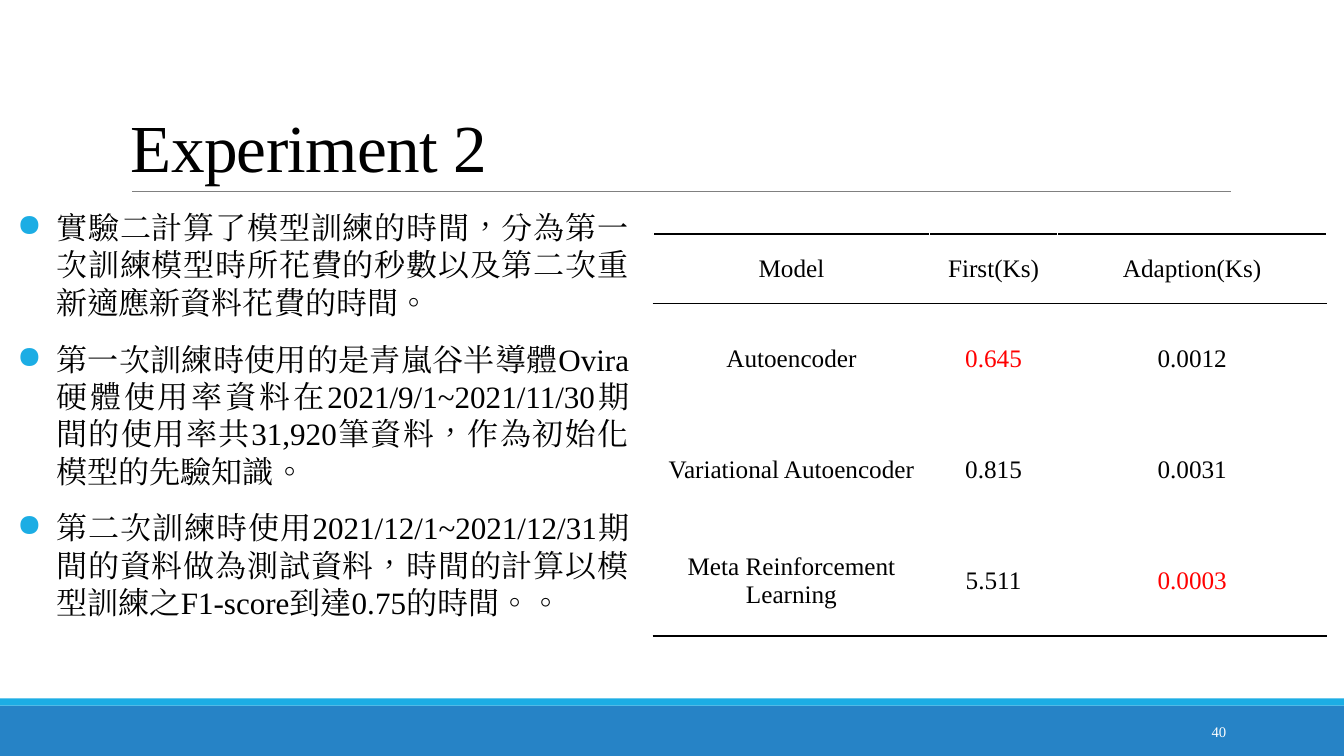
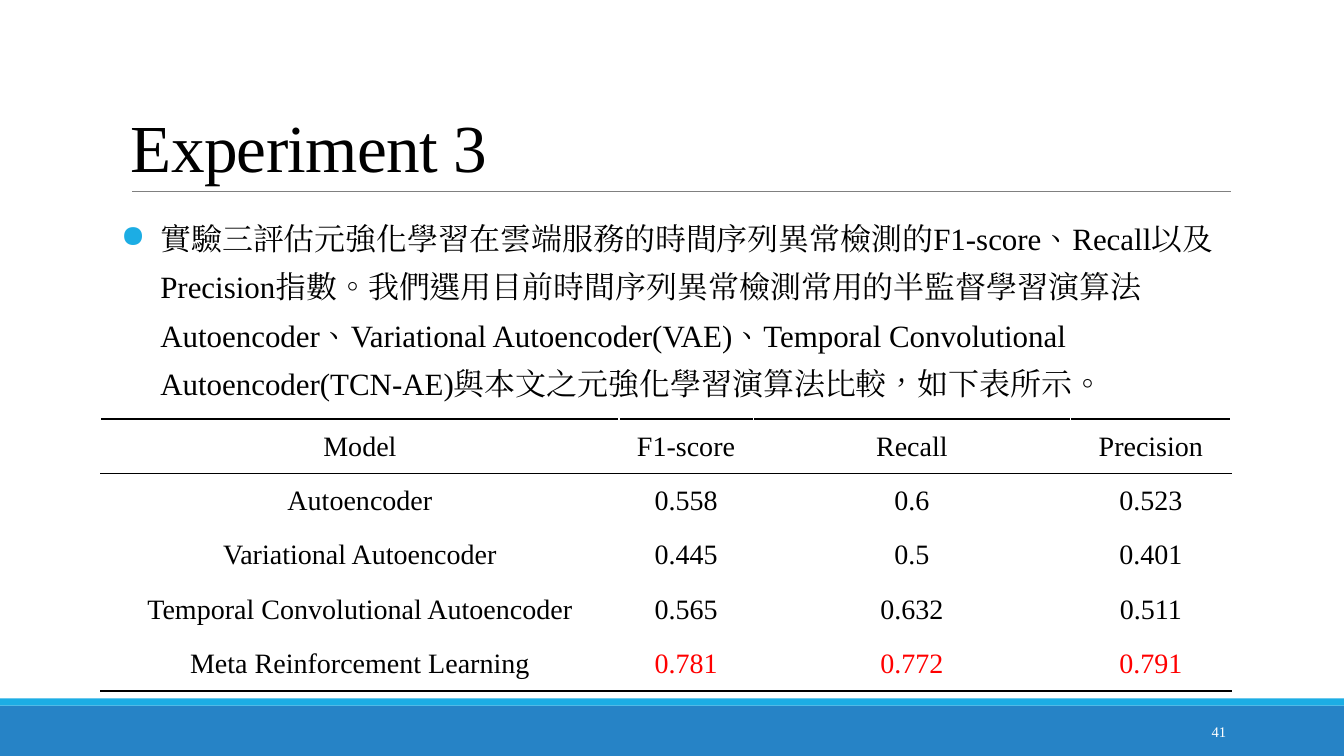
from pptx import Presentation
from pptx.dml.color import RGBColor
from pptx.enum.lang import MSO_LANGUAGE_ID
from pptx.enum.shapes import MSO_CONNECTOR, MSO_SHAPE
from pptx.enum.text import MSO_ANCHOR, PP_ALIGN
from pptx.oxml import parse_xml
from pptx.oxml.ns import nsdecls, qn
from pptx.util import Inches, Pt
from lxml import etree

LEFT, CENTER, RIGHT, JUSTIFY = (
    PP_ALIGN.LEFT, PP_ALIGN.CENTER, PP_ALIGN.RIGHT, PP_ALIGN.JUSTIFY)
TOP, MIDDLE, BOTTOM = MSO_ANCHOR.TOP, MSO_ANCHOR.MIDDLE, MSO_ANCHOR.BOTTOM
CHINESE = MSO_LANGUAGE_ID.TRADITIONAL_CHINESE

THEME = {
    "font": "Times New Roman",
    "text": "000000", "best": "FF0000", "page": "FFFFFF",
    "band": "2683C6", "accent": "1CADE4", "rule": "808080",
    "title_size": 48, "page_size": 10.5,
    "thick": 1.5, "thin": 1, "hairline": 0.5,
}
WIDTH, HEIGHT = 13.33, 7.5
BAND_TOP, STRIPE = 7, 0.07
MARGIN, CONTENT_WIDTH, TITLE_BOTTOM = 1.2, 11, 1.9
BODY_TOP, INDENT = 2.02, 0.39

# Content: a leading * marks the best value of a column
SLIDES = [
    {
        "title": "Experiment 2", "page": "40",
        "body": {
            "at": (0.17, BODY_TOP, 6.07, 4.72), "size": 22.2,
            "align": JUSTIFY, "spacing": 1.0,
            "points": [
                "實驗二計算了模型訓練的時間，分為第一次訓練模型時所花費的秒數"
                "以及第二次重新適應新資料花費的時間。",
                "第一次訓練時使用的是青嵐谷半導體Ovira硬體使用率資料在"
                "2021/9/1~2021/11/30期間的使用率共31,920筆資料，"
                "作為初始化模型的先驗知識。",
                "第二次訓練時使用2021/12/1~2021/12/31期間的資料做為測試資料，"
                "時間的計算以模型訓練之F1-score到達0.75的時間。。",
            ],
        },
        "table": {
            "at": (6.48, 2.32), "size": 18,
            "columns": [2.74, 1.27, 2.67], "heights": (0.69, 1.1),
            "rows": [
                ("Model", "First(Ks)", "Adaption(Ks)"),
                ("Autoencoder", "*0.645", "0.0012"),
                ("Variational Autoencoder", "0.815", "0.0031"),
                ("Meta Reinforcement Learning", "5.511", "*0.0003"),
            ],
        },
    },
    {
        "title": "Experiment 3", "page": "41",
        "body": {
            "at": (MARGIN, BODY_TOP, CONTENT_WIDTH, 1.97), "size": 22.1,
            "align": LEFT, "spacing": 1.3,
            "points": [
                "實驗三評估元強化學習在雲端服務的時間序列異常檢測的F1-score、"
                "Recall以及Precision指數。我們選用目前時間序列異常檢測常用的"
                "半監督學習演算法Autoencoder、Variational Autoencoder(VAE)、"
                "Temporal Convolutional Autoencoder(TCN-AE)"
                "與本文之元強化學習演算法比較，如下表所示。",
            ],
        },
        "table": {
            "at": (1, 4.16), "size": 20,
            "columns": [5.14, 1.33, 3.15, 1.59], "heights": (0.54, 0.54),
            "rows": [
                ("Model", "F1-score", "Recall", "Precision"),
                ("Autoencoder", "0.558", "0.6", "0.523"),
                ("Variational Autoencoder", "0.445", "0.5", "0.401"),
                ("Temporal Convolutional Autoencoder",
                 "0.565", "0.632", "0.511"),
                ("Meta Reinforcement Learning",
                 "*0.781", "*0.772", "*0.791"),
            ],
        },
    },
]


def rgb(name):
    return RGBColor.from_string(THEME[name])


def inches(values):
    return [Inches(value) for value in values]


def assign(target, values):
    for key, value in values.items():
        setattr(target, key, value)


def write(paragraph, text, size, color="text", **layout):
    """Put one run of themed text in a paragraph."""
    assign(paragraph, layout)
    run = paragraph.add_run()
    assign(run, {"text": text})
    assign(run.font, {"name": THEME["font"], "size": Pt(size),
                      "language_id": CHINESE})
    run.font.color.rgb = rgb(color)
    east_asian = etree.SubElement(run.font._element, qn("a:ea"))
    east_asian.set("typeface", THEME["font"])
    return run


def add_box(slide, at, anchor, side_inset=0.1):
    frame = slide.shapes.add_textbox(*inches(at)).text_frame
    assign(frame, {"word_wrap": True, "vertical_anchor": anchor,
                   "margin_left": Inches(side_inset),
                   "margin_right": Inches(side_inset)})
    return frame


def add_bullet(paragraph):
    properties = paragraph._p.get_or_add_pPr()
    properties.set("marL", str(Inches(INDENT)))
    properties.set("indent", str(-Inches(INDENT)))
    color = etree.SubElement(properties, qn("a:buClr"))
    etree.SubElement(color, qn("a:srgbClr")).set("val", THEME["accent"])
    etree.SubElement(properties, qn("a:buChar")).set("char", "●")


def add_frame(slide, title, page):
    """Bands, title, title rule and page number."""
    for top, height, color in ((BAND_TOP, HEIGHT - BAND_TOP, "band"),
                               (BAND_TOP - STRIPE, STRIPE, "accent")):
        band = slide.shapes.add_shape(
            MSO_SHAPE.RECTANGLE, *inches((0, top, WIDTH, height)))
        band.shadow.inherit = False
        band.fill.solid()
        band.fill.fore_color.rgb = rgb(color)
        band.line.fill.background()

    rule = slide.shapes.add_connector(
        MSO_CONNECTOR.STRAIGHT,
        *inches((1.31, TITLE_BOTTOM, 12.21, TITLE_BOTTOM)))
    rule.line.color.rgb = rgb("rule")
    rule.line.width = Pt(THEME["hairline"])
    etree.SubElement(rule._element.spPr, qn("a:effectLst"))

    heading = add_box(slide, (MARGIN, 0.31, CONTENT_WIDTH, 1.59), BOTTOM)
    run = write(heading.paragraphs[0], title, THEME["title_size"],
                line_spacing=0.85)
    run.font._element.set("spc", "-50")

    number = add_box(slide, (10.83, 7.06, 1.43, 0.4), MIDDLE)
    write(number.paragraphs[0], page, THEME["page_size"], "page",
          alignment=RIGHT)


def add_body(slide, body):
    frame = add_box(slide, body["at"], TOP, side_inset=0)
    for index, point in enumerate(body["points"]):
        paragraph = frame.add_paragraph() if index else frame.paragraphs[0]
        write(paragraph, point, body["size"], alignment=body["align"],
              line_spacing=body["spacing"], space_before=Pt(12),
              space_after=Pt(2))
        add_bullet(paragraph)


def add_border(cell, side, weight):
    cell._tc.get_or_add_tcPr().insert(0, parse_xml(
        f'<a:{side} {nsdecls("a")} w="{Pt(THEME[weight])}"><a:solidFill>'
        f'<a:srgbClr val="{THEME["text"]}"/></a:solidFill></a:{side}>'))


def add_results(slide, results):
    rows, columns = results["rows"], results["columns"]
    header, row_height = results["heights"]
    heights = [header] + [row_height] * (len(rows) - 1)
    table = slide.shapes.add_table(
        len(rows), len(columns),
        *inches((*results["at"], sum(columns), sum(heights)))).table
    assign(table, {"first_row": False, "horz_banding": False})
    for column, width in zip(table.columns, columns):
        column.width = Inches(width)

    # Bottom before top, as each border goes in front of the last one
    last = len(rows) - 1
    borders = {0: (("lnB", "thin"), ("lnT", "thick")),
               1: (("lnT", "thin"),),
               last: (("lnB", "thick"),)}
    for r, values in enumerate(rows):
        table.rows[r].height = Inches(heights[r])
        for c, value in enumerate(values):
            cell = table.cell(r, c)
            assign(cell, {"vertical_anchor": MIDDLE,
                          "margin_left": Inches(0.07),
                          "margin_right": Inches(0.07),
                          "margin_top": 0, "margin_bottom": 0})
            cell.fill.background()
            write(cell.text_frame.paragraphs[0], value.lstrip("*"),
                  results["size"],
                  "best" if value.startswith("*") else "text",
                  alignment=CENTER, space_after=Pt(3))
            for side, weight in borders.get(r, ()):
                add_border(cell, side, weight)


def main():
    deck = Presentation()
    assign(deck, {"slide_width": Inches(WIDTH),
                  "slide_height": Inches(HEIGHT)})
    for content in SLIDES:
        slide = deck.slides.add_slide(deck.slide_layouts[6])
        add_frame(slide, content["title"], content["page"])
        add_body(slide, content["body"])
        add_results(slide, content["table"])
    deck.save("out.pptx")


if __name__ == "__main__":
    main()
